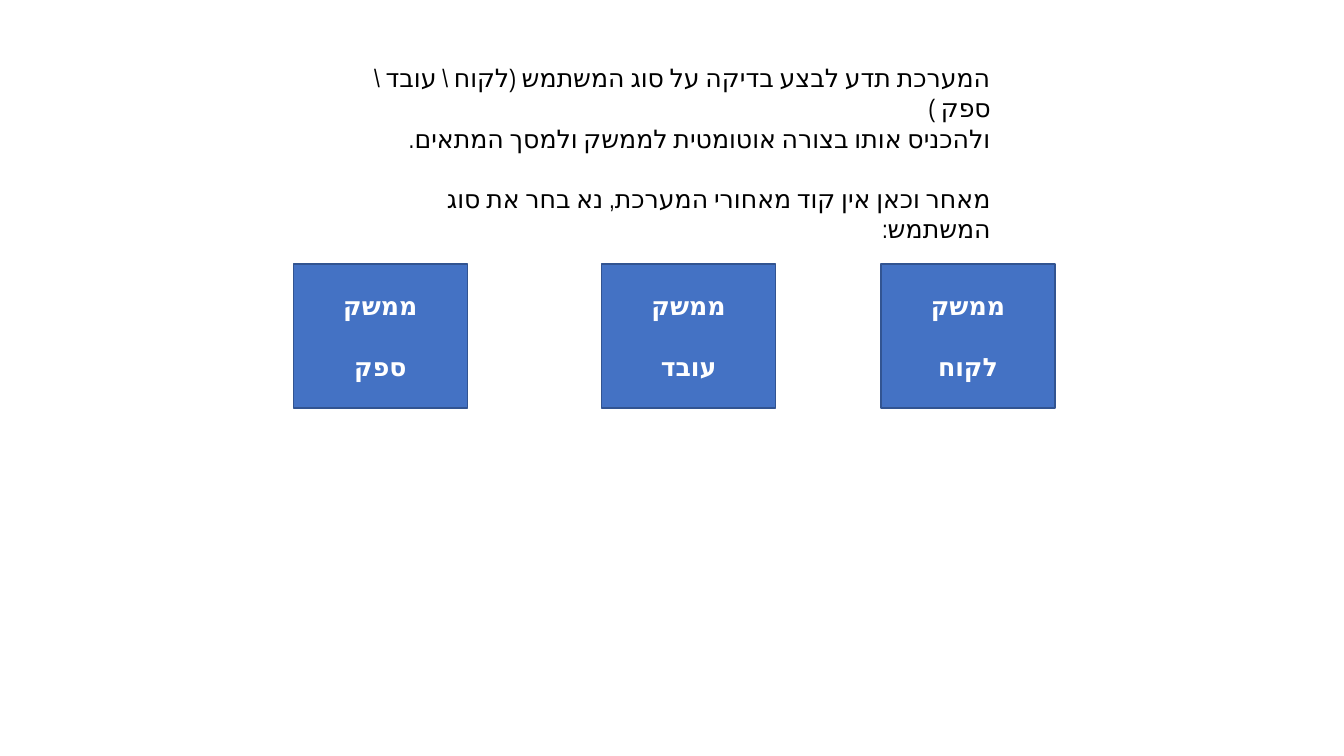
from pptx import Presentation
from pptx.dml.color import RGBColor as RGB
from pptx.enum.lang import MSO_LANGUAGE_ID as Lang
from pptx.enum.shapes import MSO_SHAPE as Kind
from pptx.enum.text import MSO_ANCHOR as Anchor, PP_ALIGN as Align
from pptx.oxml.ns import qn
from pptx.util import Cm, Pt


def tint(part, code):
    part.rgb = RGB.from_string(code)


def write(frame, lines, look, side, code):
    frame.word_wrap = True
    for i, (text, gap) in enumerate(lines):
        para = frame.paragraphs[0] if i == 0 else frame.add_paragraph()
        para.alignment = side
        para._p.get_or_add_pPr().set("rtl", "1")
        if gap:
            para.space_before = Pt(gap)
        run = para.add_run()
        run.text = text
        for key, val in look.items():
            setattr(run.font, key, val)
        tint(run.font.color, code)
        face = run._r.get_or_add_rPr().makeelement(qn("a:cs"), {"typeface": look["name"]})
        run._r.rPr.append(face)


deck = Presentation()
deck.slide_width, deck.slide_height = Cm(33.87), Cm(19.05)
slide = deck.slides.add_slide(deck.slide_layouts[6])
base = {"size": Pt(18), "language_id": Lang.HEBREW}
gap = 21.6

for left, role in [(22.2, "לקוח"), (15.16, "עובד"), (7.39, "ספק")]:
    box = slide.shapes.add_shape(Kind.RECTANGLE, Cm(left), Cm(6.65), Cm(4.39), Cm(3.63))
    box.shadow.inherit = False
    box.fill.solid()
    tint(box.fill.fore_color, "4472C4")
    tint(box.line.color, "325491")
    box.line.width = Pt(1)
    box.text_frame.vertical_anchor = Anchor.MIDDLE
    look = {**base, "name": "Calibri", "bold": True}
    write(box.text_frame, [("ממשק", 0), (role, gap)], look, Align.CENTER, "FFFFFF")

intro = slide.shapes.add_textbox(Cm(8.28), Cm(1.45), Cm(16.94), Cm(3.33))
lines = [
    ("המערכת תדע לבצע בדיקה על סוג המשתמש (לקוח \\ עובד \\ ספק )", 0),
    ("ולהכניס אותו בצורה אוטומטית לממשק ולמסך המתאים.", 0),
    ("מאחר וכאן אין קוד מאחורי המערכת, נא בחר את סוג המשתמש:", gap),
]
look = {**base, "name": "Arial Narrow"}
write(intro.text_frame, lines, look, Align.RIGHT, "000000")

deck.save("out.pptx")
